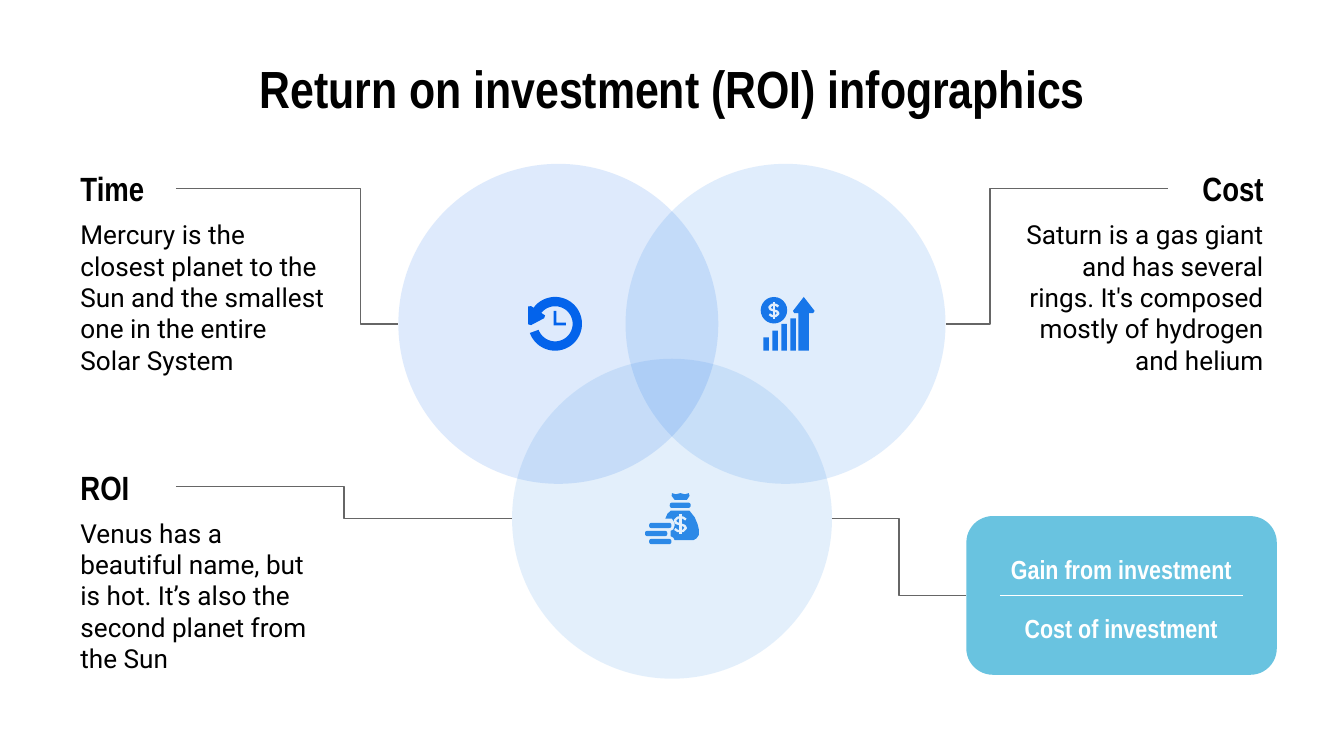
from math import cos, radians, sin

from lxml import etree
from pptx import Presentation
from pptx.dml.color import RGBColor
from pptx.enum.shapes import MSO_CONNECTOR, MSO_SHAPE
from pptx.enum.text import MSO_ANCHOR, PP_ALIGN
from pptx.oxml.ns import qn
from pptx.util import Pt

BLACK = RGBColor(0x00, 0x00, 0x00)
WHITE = RGBColor(0xFF, 0xFF, 0xFF)
GRAY = RGBColor(0x66, 0x66, 0x66)
TIME_BLUE = RGBColor(0x03, 0x63, 0xEB)
COST_BLUE = RGBColor(0x17, 0x76, 0xE9)
ROI_BLUE = RGBColor(0x2C, 0x89, 0xE7)
TEAL = RGBColor(0x69, 0xC3, 0xE0)
COST_TINT = RGBColor(0xE1, 0xED, 0xFC)
ROI_TINT = RGBColor(0xE4, 0xF0, 0xFC)

HEAD_FONT = "Arial Narrow"
BODY_FONT = "Roboto"
LEFT, RIGHT, CENTER = PP_ALIGN.LEFT, PP_ALIGN.RIGHT, PP_ALIGN.CENTER


def add_text(s, text, x, y, w, h, size, font=HEAD_FONT, color=BLACK, align=CENTER):
    tf = s.shapes.add_textbox(Pt(x), Pt(y), Pt(w), Pt(h)).text_frame
    tf.word_wrap = True
    tf.vertical_anchor = MSO_ANCHOR.MIDDLE
    tf.margin_left = tf.margin_right = tf.margin_top = tf.margin_bottom = Pt(7.2)
    p = tf.paragraphs[0]
    p.text = text
    p.alignment = align
    p.font.name = font
    p.font.size = Pt(size)
    p.font.bold = font == HEAD_FONT
    p.font.color.rgb = color


def add_topic(s, title, body, y, align):
    title_x, body_x = (36, 36) if align == LEFT else (625.7, 537.1)
    add_text(s, title, title_x, y, 58.3, 26, 18, align=align)
    add_text(s, body, body_x, y + 26.6, 146.9, 89.3, 14, BODY_FONT, align=align)


def paint(sp, color):
    sp.shadow.inherit = False
    sp.fill.solid()
    sp.fill.fore_color.rgb = color
    sp.line.fill.background()


def add_shape(s, kind, x, y, w, h, color, alpha=None):
    sp = s.shapes.add_shape(kind, Pt(x), Pt(y), Pt(w), Pt(h))
    paint(sp, color)
    if alpha:
        clr = sp._element.spPr.find(".//" + qn("a:srgbClr"))
        etree.SubElement(clr, qn("a:alpha"), val=str(alpha * 1000))
    return sp


def outline(s, points, close=True):
    pts = [(Pt(x), Pt(y)) for x, y in points]
    builder = s.shapes.build_freeform(*pts[0])
    builder.add_line_segments(pts[1:], close=close)
    return builder.convert_to_shape()


def add_polygon(s, points, color):
    paint(outline(s, points), color)


def add_connector(s, x1, y1, x2, y2, color=GRAY, bend=None):
    kind = MSO_CONNECTOR.STRAIGHT if bend is None else MSO_CONNECTOR.ELBOW
    c = s.shapes.add_connector(kind, Pt(x1), Pt(y1), Pt(x2), Pt(y2))
    c.line.color.rgb = color
    c.line.width = Pt(0.75)
    spPr = c._element.spPr
    etree.SubElement(spPr, qn("a:effectLst"))
    if bend is not None:
        av = spPr.find(".//" + qn("a:avLst"))
        etree.SubElement(av, qn("a:gd"), name="adj1", fmla=f"val {round(bend * 100000)}")


def add_dollar(s, cx, cy, size, color):
    curve = [(0.27, -0.22), (0.12, -0.32), (-0.12, -0.32), (-0.27, -0.18), (-0.2, -0.05),
             (0.2, 0.08), (0.27, 0.2), (0.12, 0.34), (-0.12, 0.34), (-0.27, 0.24)]
    for points in (curve, [(0, -0.5), (0, 0.5)]):
        sp = outline(s, [(cx + dx * size, cy + dy * size) for dx, dy in points], close=False)
        sp.shadow.inherit = False
        sp.fill.background()
        sp.line.color.rgb = color
        sp.line.width = Pt(1.25)


def add_clock(s, cx, cy):
    def arc(radius, angles):
        return [(cx + radius * cos(radians(a)), cy + radius * sin(radians(a))) for a in angles]

    sweep = range(-145, 161, 5)
    add_polygon(s, arc(14.4, sweep) + arc(9.4, reversed(sweep)), TIME_BLUE)
    add_polygon(s, [(283, 164.2), (284.5, 164), (292, 169), (291.5, 170.5),
                    (284.5, 174.2), (283, 173.8)], TIME_BLUE)
    add_polygon(s, [(296.6, 166.5), (298.1, 166.5), (298.1, 172.8),
                    (303.2, 172.8), (303.2, 174.3), (296.6, 174.3)], TIME_BLUE)


def add_growth(s):
    base = 187.9
    for i, top in enumerate((180.7, 177.1, 173.5, 170.6)):
        add_shape(s, MSO_SHAPE.RECTANGLE, 409 + 4.8 * i, top, 3, base - top, COST_BLUE)
    add_polygon(s, [(430.6, 159.1), (436.4, 166.6), (435.6, 167.8), (433.4, 167.8), (433.4, base),
                    (427.7, base), (427.7, 167.8), (425.5, 167.8), (424.8, 166.6)], COST_BLUE)
    add_shape(s, MSO_SHAPE.OVAL, 407.5, 159.1, 14.2, 14.2, COST_BLUE)
    add_dollar(s, 414.6, 166.2, 9, COST_TINT)


def add_money_bag(s):
    bars = [(358.8, 269.3, 11.2), (347.8, 280.1, 11.9), (345.6, 284.4, 11.9), (347.8, 288.7, 11.9)]
    for x, y, w in bars:
        sp = add_shape(s, MSO_SHAPE.ROUNDED_RECTANGLE, x, y, w, 2.8, ROI_BLUE)
        sp.adjustments[0] = 0.4
    add_polygon(s, [(360, 264.2), (362, 264.8), (364.5, 264.2), (367, 264.8), (369, 264.2),
                    (369.4, 265.7), (368, 267.8), (361.4, 267.8), (359.8, 265.7)], ROI_BLUE)
    add_polygon(s, [(359.3, 273.6), (369.4, 273.6), (372.2, 277.2), (373.7, 280.8),
                    (374.4, 283.7), (374.4, 286.6), (373.2, 288.4), (371.5, 289.4),
                    (361.4, 289.4), (360.7, 288), (359.3, 287.3), (359.3, 284.4),
                    (360.7, 283.7), (361.4, 281.8), (361.4, 280), (360, 277.9),
                    (356.4, 277.9), (357.6, 275.2)], ROI_BLUE)
    add_dollar(s, 364.5, 280.8, 11, ROI_TINT)


def main():
    prs = Presentation()
    prs.slide_width, prs.slide_height = Pt(720), Pt(405)
    s = prs.slides.add_slide(prs.slide_layouts[6])

    add_text(s, "Return on investment (ROI) infographics", 36, 32.4, 648, 29.5, 28)

    # Overlapping circles
    for x, y, color in ((274.3, 192.2, ROI_BLUE), (335.1, 87.8, COST_BLUE), (213.4, 87.8, TIME_BLUE)):
        add_shape(s, MSO_SHAPE.OVAL, x, y, 171.4, 171.4, color, alpha=13)

    # Topics
    add_topic(s, "Time", "Mercury is the closest planet to the Sun and the smallest one "
              "in the entire Solar System", 87.9, LEFT)
    add_topic(s, "ROI", "Venus has a beautiful name, but is hot. It’s also the second planet "
              "from the Sun", 247.7, LEFT)
    add_topic(s, "Cost", "Saturn is a gas giant and has several rings. It's composed mostly "
              "of hydrogen and helium", 87.9, RIGHT)

    # Icons
    add_clock(s, 297.4, 173.5)
    add_growth(s)
    add_money_bag(s)

    # Formula box
    add_shape(s, MSO_SHAPE.ROUNDED_RECTANGLE, 517.7, 276.5, 166.3, 85, TEAL)
    for text, y in (("Gain from investment", 291.9), ("Cost of investment", 323.5)):
        add_text(s, text, 527.3, y, 146.9, 26, 14, color=WHITE)
    add_connector(s, 535.7, 319, 666, 319, WHITE)

    # Connectors
    add_connector(s, 445.7, 277.9, 517.7, 319, bend=0.5)
    add_connector(s, 94.3, 260.7, 274.3, 277.9, bend=0.5)
    add_connector(s, 94.3, 100.9, 213.4, 173.5, bend=0.83)
    add_connector(s, 625.7, 100.9, 506.6, 173.5, bend=0.8)

    prs.save("out.pptx")


if __name__ == "__main__":
    main()
